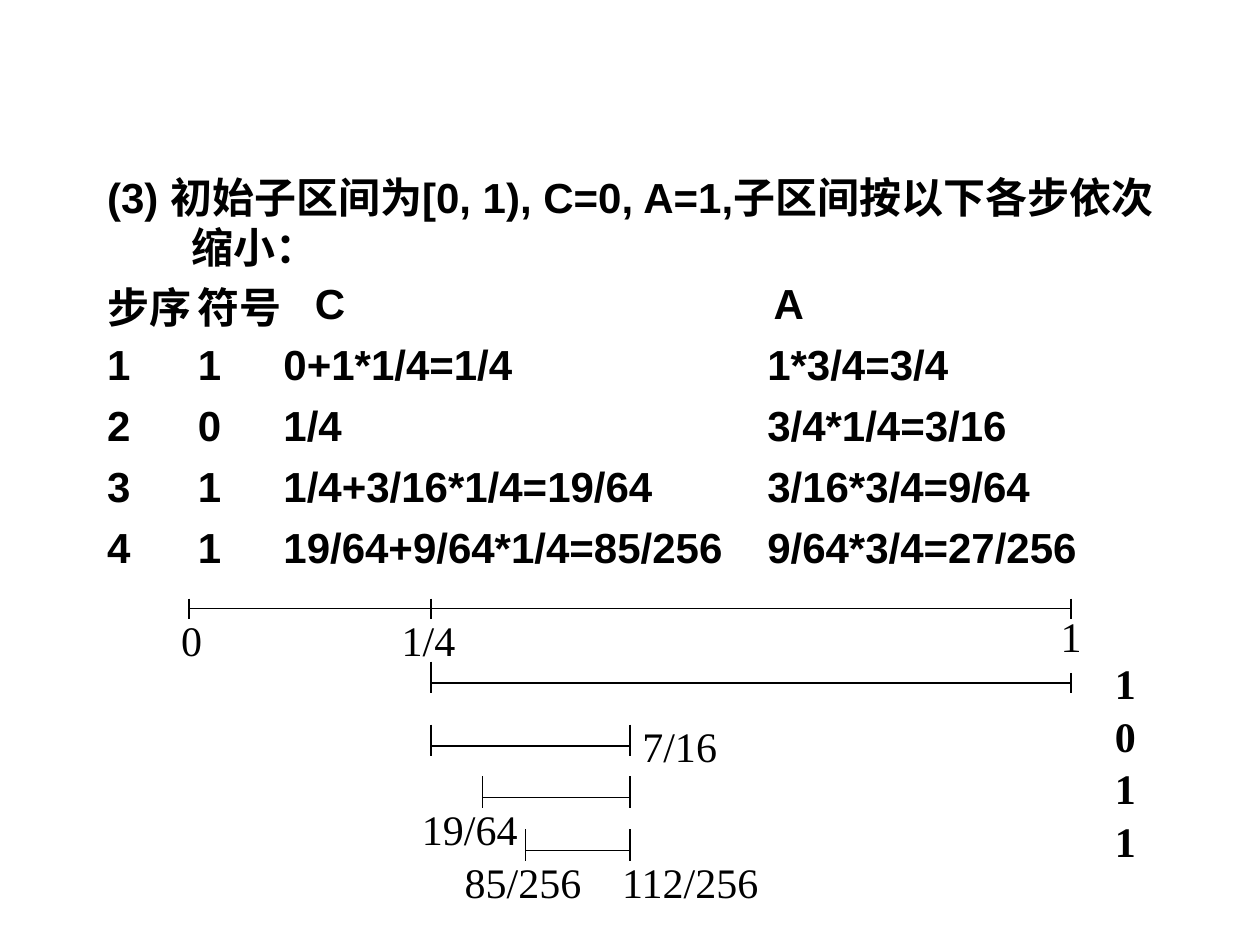
from dataclasses import dataclass

from lxml import etree
from pptx import Presentation, util as u
from pptx.dml.color import RGBColor
from pptx.enum import shapes, text
from pptx.oxml import ns


@dataclass(frozen=True)
class Theme:
    ink: RGBColor = RGBColor(0, 0, 0)
    size: u.Pt = u.Pt(24)
    rule: u.Pt = u.Pt(1)
    body: str = "Arial"
    label: str = "Times New Roman"


THEME = Theme()
INTRO = "(3) 初始子区间为[0, 1), C=0, A=1,子区间按以下各步依次缩小："
HEAD = ("步序", "符号", "C", "A")
STEPS = [
    ("1", "1", "0+1*1/4=1/4", "1*3/4=3/4"),
    ("2", "0", "1/4", "3/4*1/4=3/16"),
    ("3", "1", "1/4+3/16*1/4=19/64", "3/16*3/4=9/64"),
    ("4", "1", "19/64+9/64*1/4=85/256", "9/64*3/4=27/256"),
]
COLS = (0.72, 0.68, 3.84, 3.2)
HEAD_PAD = (0, 0, 0.25, 0.05)
ROW = 0.484
SPANS = [
    (4.83, [(1.5, 0.08), (3.42, 0.08), (8.5, 0.08)]),
    (5.42, [(3.42, 0.17), (8.5, 0.08)]),
    (5.92, [(3.42, 0.17), (5, 0.17)]),
    (6.33, [(3.83, 0.17), (5, 0.17)]),
    (6.75, [(4.17, 0.17), (5, 0.17)]),
]
LABELS = [
    ("0", 1.34, 4.83, 0.4),
    ("1/4", 3.09, 4.83, 0.66),
    ("1", 8.32, 4.8, 0.4),
    ("7/16", 5, 5.67, 0.83),
    ("19/64", 3.25, 6.33, 1),
    ("85/256", 3.59, 6.75, 1.16),
    ("112/256", 4.84, 6.75, 1.33),
]


def style(item, **values):
    for name, value in values.items():
        setattr(item, name, value)


def write(para, words, face, bold):
    para.text = words
    style(para.font, name=face, size=THEME.size, bold=bold)
    para.font.color.rgb = THEME.ink


def add_intro(slide):
    body = slide.placeholders[1]
    style(body, left=u.Inches(0.75), top=u.Inches(1.31),
          width=u.Inches(8.83), height=u.Inches(0.87))
    frame = body.text_frame
    style(frame, word_wrap=True, auto_size=text.MSO_AUTO_SIZE.NONE,
          vertical_anchor=text.MSO_ANCHOR.TOP)
    para = frame.paragraphs[0]
    props = para._p.get_or_add_pPr()
    style_values = {"marL": u.Inches(0.67), "indent": -u.Inches(0.67)}
    for name, value in style_values.items():
        props.set(name, str(int(value)))
    etree.SubElement(props, ns.qn("a:buNone"))
    write(para, INTRO, THEME.body, True)
    para.space_before = u.Pt(0)


def fill_cell(cell, words, pad):
    cell.fill.background()
    style(cell, margin_left=u.Inches(pad), margin_right=0, margin_top=0,
          margin_bottom=0, vertical_anchor=text.MSO_ANCHOR.MIDDLE)
    write(cell.text_frame.paragraphs[0], words, THEME.body, True)


def add_steps(slide):
    rows = [HEAD, *STEPS]
    box = (0.85, 2.18, sum(COLS), ROW * len(rows))
    grid = slide.shapes.add_table(
        len(rows), len(COLS), *map(u.Inches, box)).table
    style(grid, first_row=False, horz_banding=False)
    grid._tbl.tblPr.find(ns.qn("a:tableStyleId")).text = (
        "{2D5ABB26-0587-4C30-8999-92F81FD0307C}")
    for col, width in zip(grid.columns, COLS):
        col.width = u.Inches(width)
    for r, row in enumerate(rows):
        for c, words in enumerate(row):
            fill_cell(grid.cell(r, c), words, HEAD_PAD[c] if r == 0 else 0)


def add_line(slide, *ends):
    line = slide.shapes.add_connector(
        shapes.MSO_CONNECTOR.STRAIGHT, *map(u.Inches, ends))
    line.line.color.rgb = THEME.ink
    line.line.width = THEME.rule
    etree.SubElement(line._element.spPr, ns.qn("a:effectLst"))


def add_span(slide, y, ticks):
    add_line(slide, ticks[0][0], y, ticks[-1][0], y)
    for x, rise in ticks:
        add_line(slide, x, y - rise, x, y + 0.08)


def add_label(slide, words, left, top, width, bold=False):
    box = slide.shapes.add_textbox(*map(u.Inches, (left, top, width, 0.5)))
    style(box.text_frame, word_wrap=False,
          auto_size=text.MSO_AUTO_SIZE.SHAPE_TO_FIT_TEXT)
    write(box.text_frame.paragraphs[0], words, THEME.label, bold)


def main():
    deck = Presentation()
    style(deck, slide_width=u.Inches(10), slide_height=u.Inches(7.5))
    slide = deck.slides.add_slide(deck.slide_layouts[1])
    title = slide.shapes.title._element
    title.getparent().remove(title)
    add_intro(slide)
    add_steps(slide)
    for y, ticks in SPANS:
        add_span(slide, y, ticks)
    for label in LABELS:
        add_label(slide, *label)
    for i, step in enumerate(STEPS):
        add_label(slide, step[1], 8.75, 5.17 + i * 0.417, 0.4, bold=True)
    deck.save("out.pptx")


if __name__ == "__main__":
    main()
